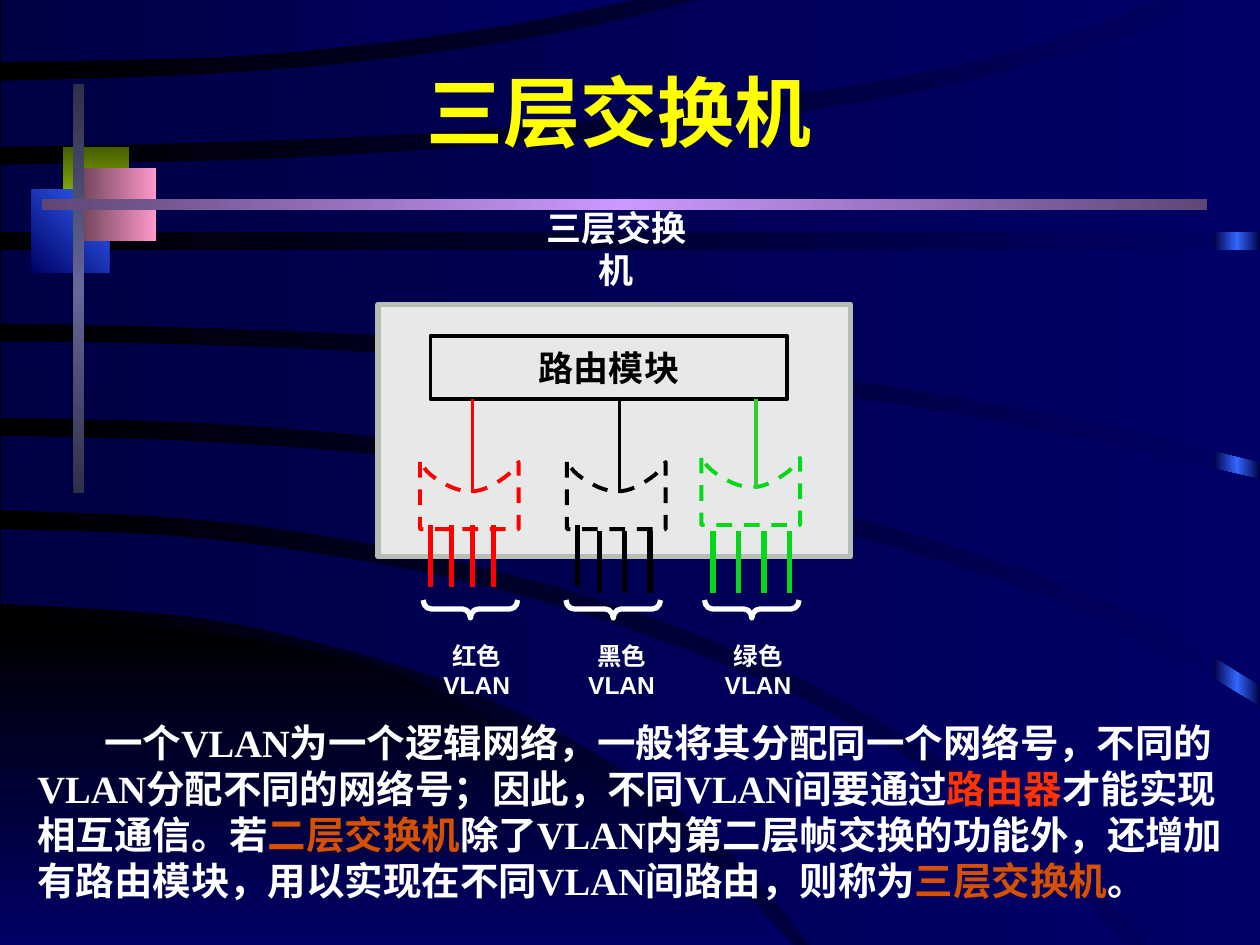
from copy import deepcopy

from lxml import etree
from pptx import Presentation
from pptx.dml.color import RGBColor
from pptx.enum.dml import MSO_LINE
from pptx.enum.shapes import MSO_CONNECTOR, MSO_SHAPE
from pptx.enum.text import MSO_ANCHOR, MSO_AUTO_SIZE, PP_ALIGN
from pptx.oxml.ns import qn
from pptx.util import Emu, Inches, Pt

RECTANGLE, BRACE = MSO_SHAPE.RECTANGLE, MSO_SHAPE.RIGHT_BRACE
STRAIGHT, DASH = MSO_CONNECTOR.STRAIGHT, MSO_LINE.DASH
MIDDLE, CENTER, LEFT = MSO_ANCHOR.MIDDLE, PP_ALIGN.CENTER, PP_ALIGN.LEFT
GROW, FIXED = MSO_AUTO_SIZE.SHAPE_TO_FIT_TEXT, MSO_AUTO_SIZE.NONE

BLACK, WHITE = RGBColor(0, 0, 0), RGBColor(255, 255, 255)
NAVY, MIDNIGHT = RGBColor(0, 0, 0x66), RGBColor(0, 0, 0x44)
BLUE, YELLOW = RGBColor(0x33, 0x66, 0xFF), RGBColor(255, 255, 0)
OLIVE, LIME = RGBColor(0x47, 0x5E, 0), RGBColor(0x99, 0xCC, 0)
PLUM, PINK = RGBColor(0x76, 0x47, 0x5E), RGBColor(0xFF, 0x99, 0xCC)
SLATE, STEEL = RGBColor(0x2F, 0x2F, 0x47), RGBColor(0x66, 0x66, 0x99)
MAUVE, VIOLET = RGBColor(0x5E, 0x47, 0x76), RGBColor(0xCC, 0x99, 0xFF)
PANEL, PANEL_EDGE = RGBColor(0xE7, 0xE9, 0xE8), RGBColor(0xB7, 0xBE, 0xB6)
RED, GREEN = RGBColor(255, 0, 0), RGBColor(0x07, 0xD7, 0x1B)
LEAF = RGBColor(0x33, 0xCC, 0x33)
SCARLET, RUST = RGBColor(0xFF, 0x33, 0), RGBColor(0xD5, 0x50, 0)

SLIDE_WIDTH, SLIDE_HEIGHT = Inches(10), Inches(7.5)
COLUMNS = 120
CELL = SLIDE_WIDTH / COLUMNS

BANDS = [
    ([(0, 59.2), (7.4, 59.4), (16.8, 59.9), (26.3, 61.3), (36.7, 63.7), (46.4, 68.4),
      (55.6, 73), (63.5, 78.4), (69.4, 83.5), (75.5, 90)], [(0, 90)], []),
    ([(0.1, 50.4), (15.7, 51), (30, 52.7), (46, 55.8), (61.9, 60.6), (77.4, 67.1),
      (92, 75.8), (100, 82.4), (107.3, 90)], [],
     [(0.1, 57.5), (17.9, 58.7), (32.3, 61.7), (45.2, 65.9), (59.2, 73.2), (70, 81.6),
      (77.2, 90)]),
    ([(0.1, 41.5), (17.4, 42), (34.8, 43.2), (51.2, 45.1), (68.5, 48.1), (83.3, 51.6),
      (98.3, 56.4), (108.6, 60.7), (120.1, 67.4)], [(120.1, 90)],
     [(0.1, 48.6), (16.9, 49.3), (32.2, 51.2), (48.7, 54.7), (62.6, 59), (76.4, 64.7),
      (90.8, 73), (100.7, 80.6), (109.2, 90)]),
    ([(0.1, 32.5), (20.3, 32.9), (42.1, 34), (62.9, 35.8), (85.8, 38.6), (103.2, 41.8),
      (120.1, 45.7)], [],
     [(0.1, 39.8), (20.2, 40.3), (42.2, 42.2), (61.7, 45), (77, 48.2), (94, 53),
      (109.7, 59.3), (120.1, 65.3)]),
    ([(0.1, 23.8), (120.1, 23.8)], [],
     [(0.1, 30.8), (22.4, 31.3), (46.8, 32.5), (66.4, 34.3), (84.4, 36.7),
      (103.9, 40.2), (120.1, 44)]),
    ([(0.1, 15.7), (24.5, 15.2), (44.8, 14), (66.6, 12.1), (88.2, 8.6), (100.3, 5.5),
      (107.2, 3.4), (113.3, 0)], [(120.1, 0)], [(0.1, 22.1), (120.1, 22.1)]),
    ([(0.1, 7.7), (19.3, 7.1), (37.1, 5.6), (53.5, 3.1), (66.8, 0)], [],
     [(0.1, 14), (27.2, 13.3), (51.1, 11.9), (69.4, 9.8), (85.9, 7.3), (99.7, 4),
      (110.2, 0)]),
    ([(0.1, 0), (60.2, 0)], [],
     [(0.1, 5.9), (20.9, 5.4), (34.8, 4.2), (48.1, 2.4), (60.2, 0)]),
]
CUP_DIP = [(9.4, 0), (8.4, 1.2), (6.5, 2.4), (4.8, 2.8), (3, 2.4), (1, 1.2), (0, 0)]


def grid(*cells):
    """Turn grid counts into slide lengths."""
    return [Emu(round(count * CELL)) for count in cells]


def smooth(knots, steps=4):
    """Return points on a Catmull-Rom curve through the knots."""
    if len(knots) < 3:
        return knots
    padded = [knots[0], *knots, knots[-1]]
    points = [knots[0]]
    for a, b, c, d in zip(padded, padded[1:], padded[2:], padded[3:]):
        for t in (step / steps for step in range(1, steps + 1)):
            points.append(tuple(
                q + (r - p) * t / 2 + (2 * p - 5 * q + 4 * r - s) * t ** 2 / 2
                + (3 * q - p - 3 * r + s) * t ** 3 / 2
                for p, q, r, s in zip(a, b, c, d)))
    return points


def blend(fill, angle, *colors):
    """Fill with evenly spaced colours, the angle counted clockwise."""
    fill.gradient()
    fill.gradient_angle = -angle % 360
    first = fill.gradient_stops[0]._gs
    for _ in colors[2:]:
        first.addnext(deepcopy(first))
    for index, (stop, color) in enumerate(zip(fill.gradient_stops, colors)):
        stop.color.rgb = color
        stop.position = index / (len(colors) - 1)


def style(shape, fill=None, line=None, width=0, dash=None):
    """Set a shape's flat fill and outline and clear its shadow."""
    shape.shadow.inherit = False
    if fill is None:
        shape.fill.background()
    else:
        shape.fill.solid()
        shape.fill.fore_color.rgb = fill
    if line is None:
        shape.line.fill.background()
    else:
        shape.line.color.rgb = line
        shape.line.width = Pt(width)
        shape.line.dash_style = dash
    return shape


def write(frame, paragraphs, size, color=WHITE, font="Arial", align=CENTER,
          wrap=False, fit=GROW, margin=0, indent=0):
    """Write paragraphs, each a list of (text, colour or None) runs."""
    frame.word_wrap, frame.auto_size, frame.vertical_anchor = wrap, fit, MIDDLE
    for index, runs in enumerate(paragraphs):
        paragraph = frame.add_paragraph() if index else frame.paragraphs[0]
        paragraph.alignment = align
        if margin:
            properties = paragraph._p.get_or_add_pPr()
            properties.set("marL", str(Inches(margin)))
            properties.set("indent", str(Inches(indent)))
        for text, run_color in runs:
            run = paragraph.add_run()
            run.text = text
            run.font.size, run.font.bold, run.font.name = Pt(size), True, font
            run.font.color.rgb = run_color or color


def outline(slide, points):
    """Draw a closed outline through grid points."""
    corners = [grid(*point) for point in points]
    builder = slide.shapes.build_freeform(*corners[0], scale=1.0)
    builder.add_line_segments(corners[1:], close=True)
    return builder.convert_to_shape()


def rule(slide, x, top, bottom, color, width):
    """Draw a vertical line."""
    connector = slide.shapes.add_connector(STRAIGHT, *grid(x, top, x, bottom))
    connector.line.color.rgb = color
    connector.line.width = Pt(width)
    etree.SubElement(connector._element.spPr, qn("a:effectLst"))


def gradient_bar(slide, box, angle, *colors):
    """Draw a rectangle with a gradient fill."""
    bar = style(slide.shapes.add_shape(RECTANGLE, *grid(*box)))
    blend(bar.fill, angle, *colors)


def draw_backdrop(slide):
    """Paint the background and its sweeping bands."""
    blend(slide.background.fill, 0, BLACK, NAVY)
    gradient_bar(slide, (115.6, 0.2, 4.4, 89.8), 0, MIDNIGHT, BLUE, MIDNIGHT)
    for index, (top, corners, bottom) in enumerate(BANDS):
        band = style(outline(slide, smooth(top) + corners + smooth(bottom)[::-1]))
        if index:
            blend(band.fill, 0, MIDNIGHT, NAVY)
        else:
            blend(band.fill, 90, BLACK, NAVY)


def draw_ornament(slide, left, top):
    """Draw the overlapping squares and crossed bars."""
    for (x, y, width, height), angle, colors in [
        ((3, 6, 6.3, 6.2), 90, (OLIVE, LIME)),
        ((0, 10, 7.4, 8), 315, (NAVY, BLUE)),
        ((5, 8, 6.9, 7), 0, (PLUM, PINK)),
        ((4, 0, 1, 39), 90, (SLATE, STEEL, SLATE)),
        ((1, 11, 111, 1), 0, (MAUVE, VIOLET, MAUVE)),
    ]:
        gradient_bar(slide, (left + x, top + y, width, height), angle, *colors)


def draw_title(slide, box, text):
    """Place the title placeholder in front of the backdrop."""
    title = slide.shapes.title
    title.left, title.top, title.width, title.height = grid(*box)
    write(title.text_frame, [[(text, None)]], 44, color=YELLOW,
          font="Times New Roman", wrap=True, fit=FIXED)
    slide.shapes._spTree.append(title._element)


def text_box(slide, box, paragraphs, size, **layout):
    """Add a text box on the grid."""
    write(slide.shapes.add_textbox(*grid(*box)).text_frame, paragraphs, size, **layout)


def draw_vlan(slide, left, top, name, color, uplink_color, uplink, ports, brace, label):
    """Draw one switch segment with its uplink, ports, brace and label."""
    dip = [(left + x, top + y) for x, y in smooth(CUP_DIP)]
    cup = [(left, top), (left, top + 6.4), (left + 9.4, top + 6.4), *dip[:-1]]
    style(outline(slide, cup), line=color, width=2.25, dash=DASH)
    for x, y in ports:
        rule(slide, left + x, y, y + 5.9, color, 3)
    rule(slide, left + uplink, top + 3, 38, uplink_color, 2.25)
    mark = slide.shapes.add_shape(BRACE, *grid(left + brace - 0.85, 53.5, 1.7, 9))
    mark.rotation = 90
    mark.adjustments[0] = 0.45
    style(mark, line=WHITE, width=3)
    text_box(slide, (left + label, 60.4, 8.8, 6.8), [[(name, None)], [("VLAN", None)]], 14)


def draw_switch(slide, left, top):
    """Draw the layer-three switch with its routing module and segments."""
    text_box(slide, (left + 13.2, top - 8, 19, 5.3), [[("三层交换机", None)]], 20)
    panel = slide.shapes.add_shape(RECTANGLE, *grid(left, top, 45, 24))
    style(panel, PANEL, PANEL_EDGE, 3)
    router = slide.shapes.add_shape(RECTANGLE, *grid(left + 5, top + 3, 34, 6))
    style(router, line=BLACK, width=2.25)
    write(router.text_frame, [[("路由模块", None)]], 20, color=BLACK,
          font="Times New Roman", fit=FIXED)
    draw_vlan(slide, left + 4, top + 15, "红色", RED, RED, 5,
              [(1 + 2 * port, 50) for port in range(4)], 4.8, 1)
    draw_vlan(slide, left + 18, top + 15, "黑色", BLACK, BLACK, 5,
              [(1, 50), (3.1, 50.6), (5.5, 50.6), (7.9, 50.6)], 4.4, 0.8)
    draw_vlan(slide, left + 30.8, top + 14.6, "绿色", GREEN, LEAF, 5.2,
              [(1.1 + 2.43 * port, 50.6) for port in range(4)], 4.8, 1)


def main():
    """Build and save the slide."""
    deck = Presentation()
    deck.slide_width, deck.slide_height = SLIDE_WIDTH, SLIDE_HEIGHT
    slide = deck.slides.add_slide(deck.slide_layouts[5])
    draw_backdrop(slide)
    draw_ornament(slide, 3, 8)
    draw_title(slide, (8, 3, 102, 15), "三层交换机")
    draw_switch(slide, 36, 29)
    explanation = [
        ("一个VLAN为一个逻辑网络，一般将其分配同一个网络号，不同的VLAN分配不同的网络号；"
         "因此，不同VLAN间要通过", None),
        ("路由器", SCARLET), ("才能实现相互通信。若", None), ("二层交换机", RUST),
        ("除了VLAN内第二层帧交换的功能外，还增加有路由模块，用以实现在不同VLAN间路由，"
         "则称为", None),
        ("三层交换机", RUST), ("。", None)]
    text_box(slide, (1.3, 65.6, 117, 23.3), [explanation], 22, font="Times New Roman",
             align=LEFT, wrap=True, margin=0.09, indent=0.53)
    deck.save("out.pptx")


if __name__ == "__main__":
    main()
